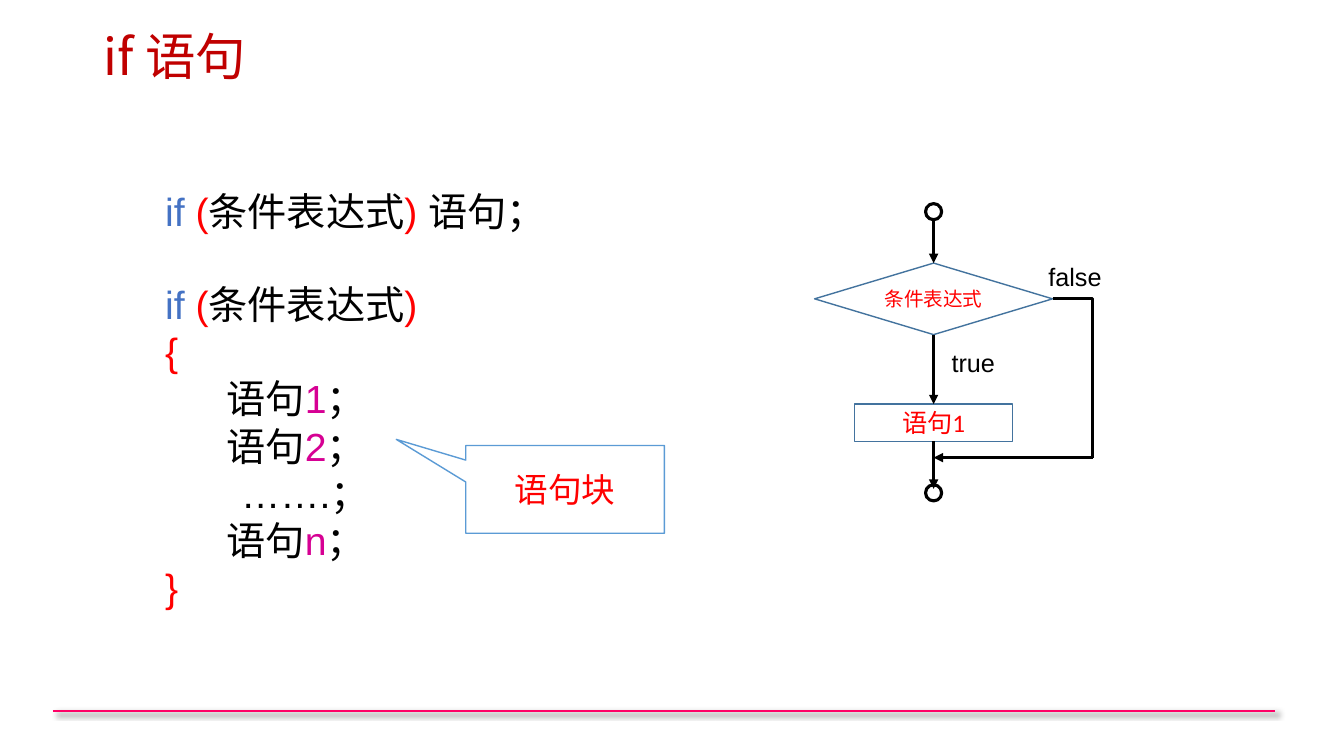
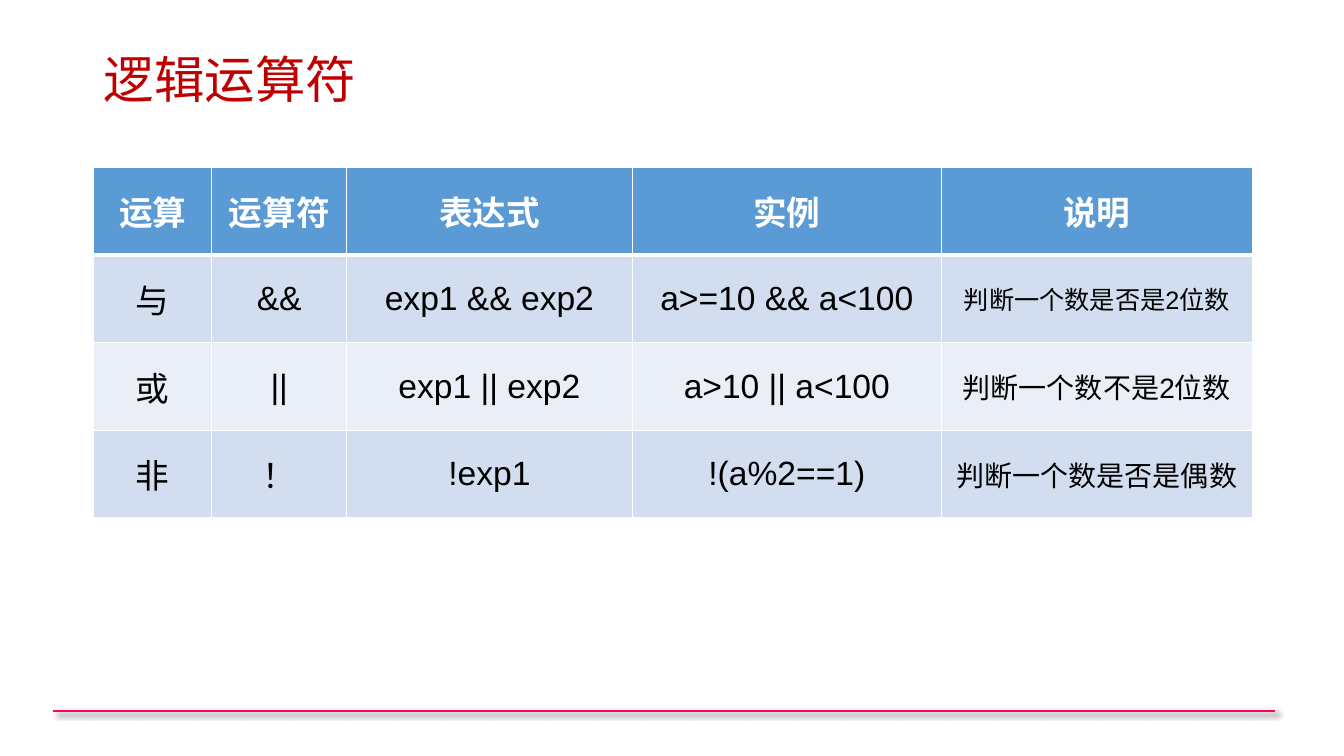
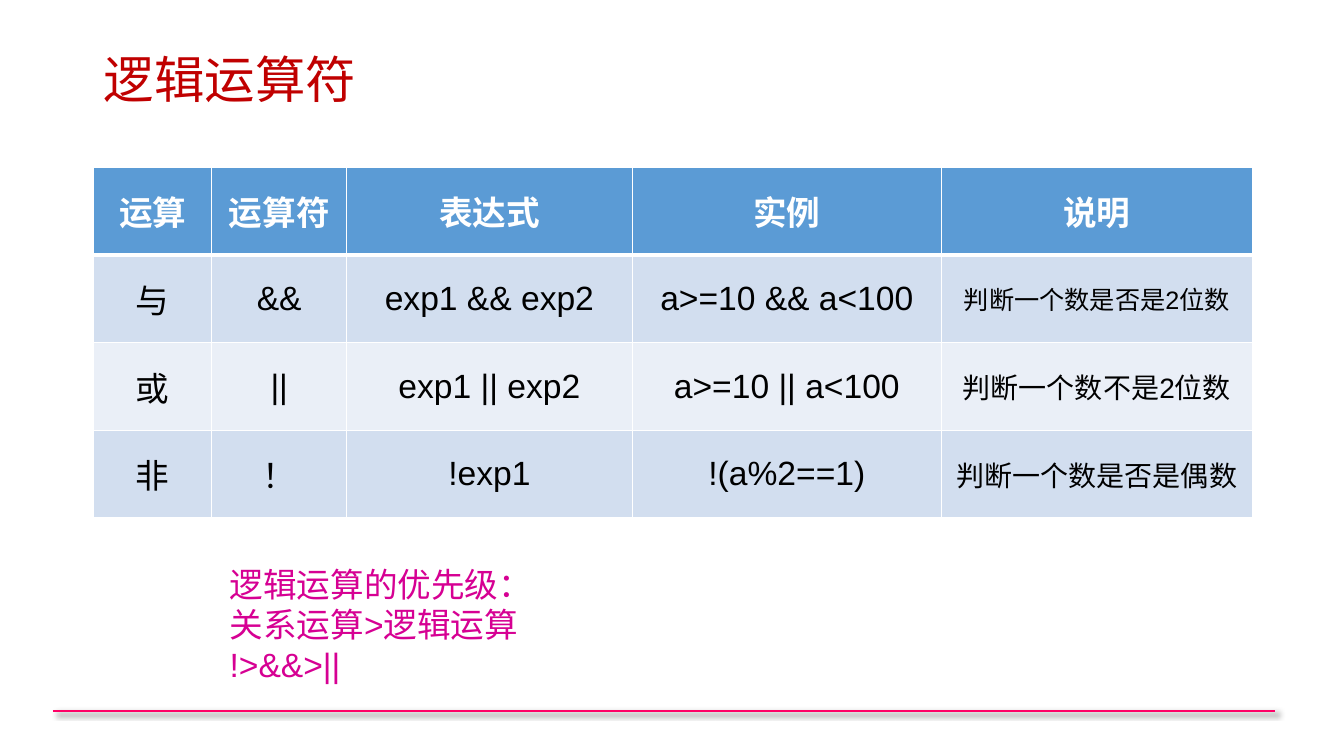
"""Build three slides on the if statement and the logical operators."""
import dataclasses

import lxml.etree
import pptx
import pptx.dml.color
import pptx.enum.shapes
import pptx.enum.text
import pptx.oxml.ns
import pptx.util

SHAPE = pptx.enum.shapes.MSO_SHAPE
CONNECTOR = pptx.enum.shapes.MSO_CONNECTOR
ALIGN = pptx.enum.text.PP_ALIGN
MIDDLE = pptx.enum.text.MSO_ANCHOR.MIDDLE
Inches, Pt = pptx.util.Inches, pptx.util.Pt
qn = pptx.oxml.ns.qn


@dataclasses.dataclass(frozen=True)
class Theme:
    latin: str = "Arial"
    diagram: str = "Calibri"
    chinese: str = "Noto Sans CJK SC"
    title: str = "C00000"
    rule: str = "FF0066"
    ink: str = "000000"
    white: str = "FFFFFF"
    red: str = "FF0000"
    keyword: str = "4472C4"
    accent: str = "D60093"
    outline: str = "43739E"
    header: str = "5B9BD5"
    bands: tuple = ("D2DEEF", "EAEFF7")
    title_size: int = 36
    code_size: int = 28
    text_size: int = 24
    label_size: int = 18
    small_size: int = 14


THEME = Theme()
WIDTH, HEIGHT = 13.33, 7.5
MARGIN, CONTENT_WIDTH, TITLE_HEIGHT = 0.93, 11.5, 0.83

CONDITION = [("if ", THEME.keyword), ("(", THEME.red), ("条件表达式", THEME.ink)]
INDENT = "       "


def statement(name):
    return [(INDENT + "语句", THEME.ink), (name, THEME.accent), ("；", THEME.ink)]


CODE = [
    CONDITION + [(") ", THEME.red), ("语句；", THEME.ink)],
    CONDITION + [(")", THEME.red)],
    [("{", THEME.red)],
    statement("1"),
    statement("2"),
    [(INDENT + "…….；", THEME.ink)],
    statement("n"),
    [("}", THEME.red)],
]
BLOCK_START = 1

COLUMNS = (1.17, 1.34, 2.83, 3.07, 3.08)
ROW_HEIGHT = 0.87
HEADINGS = ("运算", "运算符", "表达式", "实例", "说明")
NOTE_SIZES = (18, 20, 20)
PRECEDENCE = ("逻辑运算的优先级：", "关系运算>逻辑运算", "!>&&>||")


def operator_rows(or_example):
    return [
        ("与", "&&", "exp1 && exp2", "a>=10 && a<100", "判断一个数是否是2位数"),
        ("或", "||", "exp1 || exp2", or_example, "判断一个数不是2位数"),
        ("非", "！", "!exp1", "!(a%2==1)", "判断一个数是否是偶数"),
    ]


def rgb(value):
    return pptx.dml.color.RGBColor.from_string(value)


def inches(*values):
    return [Inches(value) for value in values]


def write(frame, lines, size=THEME.text_size, color=THEME.ink, font=THEME.latin,
          bold=False, align=None, wrap=True, anchor=None, line_spacing=None, gaps=None):
    """Fill a text frame; a line is a string or a list of (text, colour) spans."""
    frame.word_wrap = wrap
    if anchor is not None:
        frame.vertical_anchor = anchor
    for index, line in enumerate([lines] if isinstance(lines, str) else lines):
        para = frame.paragraphs[0] if index == 0 else frame.add_paragraph()
        para.alignment = align
        para.line_spacing = line_spacing
        if gaps and index in gaps:
            para.space_before = Pt(gaps[index])
        for text, tint in [(line, color)] if isinstance(line, str) else line:
            span = para.add_run()
            span.text = text
            span.font.size = Pt(size)
            span.font.bold = bold
            span.font.name = font
            span.font.color.rgb = rgb(tint)
            lxml.etree.SubElement(span._r.get_or_add_rPr(), qn("a:ea"), typeface=THEME.chinese)


def add_text(shapes, box, lines, **style):
    write(shapes.add_textbox(*inches(*box)).text_frame, lines, **style)


def add_box(shapes, kind, box, text="", line=THEME.outline, weight=1, fill=None, **style):
    shape = shapes.add_shape(kind, *inches(*box))
    shape.shadow.inherit = False
    shape.line.color.rgb = rgb(line)
    shape.line.width = Pt(weight)
    if fill:
        shape.fill.solid()
        shape.fill.fore_color.rgb = rgb(fill)
    else:
        shape.fill.background()
    if text:
        write(shape.text_frame, text, color=THEME.red, font=THEME.diagram,
              align=ALIGN.CENTER, anchor=MIDDLE, wrap=False, **style)
    return shape


def add_line(shapes, start, end, color=THEME.ink, weight=2.25, arrow=False, bent=False):
    """Draw a line and return it with its empty effect list."""
    kind = CONNECTOR.ELBOW if bent else CONNECTOR.STRAIGHT
    line = shapes.add_connector(kind, *inches(*start, *end))
    line.line.color.rgb = rgb(color)
    line.line.width = Pt(weight)
    properties = line.element.spPr
    if bent:
        properties.find(qn("a:prstGeom")).set("prst", "bentConnector2")
    if arrow:
        lxml.etree.SubElement(properties.find(qn("a:ln")), qn("a:tailEnd"), type="triangle")
    return line, lxml.etree.SubElement(properties, qn("a:effectLst"))


def add_footer_rule(slide, layout):
    """Put the shadowed rule on the layout that every slide uses."""
    rule, effects = add_line(slide.shapes, (0.53, 7.05), (12.65, 7.05), THEME.rule, 1.5)
    shadow = lxml.etree.SubElement(effects, qn("a:outerShdw"), blurRad=str(Pt(4)),
                                   dist=str(Pt(3)), dir=str(45 * 60000))
    tint = lxml.etree.SubElement(shadow, qn("a:srgbClr"), val=THEME.ink)
    lxml.etree.SubElement(tint, qn("a:alpha"), val="40000")
    layout.shapes.element.append(rule.element)


def add_page(deck, layout, title, top=0.4):
    page = deck.slides.add_slide(layout)
    holder = page.shapes.title
    holder.left, holder.top, holder.width, holder.height = inches(
        MARGIN, top, CONTENT_WIDTH, TITLE_HEIGHT)
    write(holder.text_frame, title, size=THEME.title_size, color=THEME.title,
          font=THEME.chinese, align=ALIGN.LEFT, anchor=MIDDLE, line_spacing=0.9)
    return page


def add_flowchart(page):
    shapes = page.shapes.add_group_shape().shapes
    axis, dot, bypass, merge = 9.26, 0.16, 10.84, 4.54
    start, end = 2.02, 4.81
    decision_width, decision_top, decision_height = 2.36, 2.61, 0.71
    process_width, process_top, process_height = 1.57, 4.01, 0.37
    decision_bottom = decision_top + decision_height
    process_bottom = process_top + process_height
    branch = decision_top + decision_height / 2

    def centred(width, top, height):
        return axis - width / 2, top, width, height

    add_box(shapes, SHAPE.FLOWCHART_DECISION,
            centred(decision_width, decision_top, decision_height),
            "条件表达式", size=THEME.small_size)
    add_box(shapes, SHAPE.FLOWCHART_PROCESS,
            centred(process_width, process_top, process_height),
            "语句1", size=THEME.label_size)
    for top, bottom in ((start + dot, decision_top), (decision_bottom, process_top),
                        (process_bottom, end + 0.04)):
        add_line(shapes, (axis, top), (axis, bottom), arrow=True)
    add_line(shapes, (axis + decision_width / 2, branch), (bypass, merge), bent=True)
    add_line(shapes, (bypass, merge), (axis, merge), arrow=True)
    for top in (start, end):
        add_box(shapes, SHAPE.OVAL, centred(dot, top, dot), line=THEME.ink, weight=2.25)
    for text, box in (("false", (10.3, 2.54, 0.73, 0.4)), ("true", (9.34, 3.4, 0.64, 0.4))):
        add_text(shapes, box, text, size=THEME.label_size, wrap=False)


def format_cell(cell, text, fill, top=1, bottom=1, **style):
    write(cell.text_frame, text, align=ALIGN.CENTER, **style)
    cell.vertical_anchor = MIDDLE
    properties = cell._tc.get_or_add_tcPr()
    for side, weight in (("L", 1), ("R", 1), ("T", top), ("B", bottom)):
        border = lxml.etree.SubElement(properties, qn("a:ln" + side), w=str(Pt(weight)))
        paint = lxml.etree.SubElement(border, qn("a:solidFill"))
        lxml.etree.SubElement(paint, qn("a:srgbClr"), val=THEME.white)
    cell.fill.solid()
    cell.fill.fore_color.rgb = rgb(fill)


def add_operator_table(page, rows):
    count = len(rows) + 1
    table = page.shapes.add_table(count, len(COLUMNS), *inches(
        MARGIN, 1.66, CONTENT_WIDTH, count * ROW_HEIGHT)).table
    for column, width in zip(table.columns, COLUMNS):
        column.width = Inches(width)
    for row in table.rows:
        row.height = Inches(ROW_HEIGHT)
    for column, heading in enumerate(HEADINGS):
        format_cell(table.cell(0, column), heading, THEME.header, bottom=3,
                    color=THEME.white, bold=True)
    for index, (row, note_size) in enumerate(zip(rows, NOTE_SIZES)):
        for column, text in enumerate(row):
            size = note_size if column == len(row) - 1 else THEME.text_size
            format_cell(table.cell(index + 1, column), text, THEME.bands[index % 2],
                        top=3 if index == 0 else 1, size=size)


def main():
    deck = pptx.Presentation()
    deck.slide_width, deck.slide_height = inches(WIDTH, HEIGHT)
    layout = deck.slide_layouts.get_by_name("Title Only")

    page = add_page(deck, layout, "if 语句", top=0.17)
    add_footer_rule(page, layout)
    add_flowchart(page)
    add_text(page.shapes, (1.54, 1.81, 3.6, 4.34), CODE, size=THEME.code_size,
             gaps={BLOCK_START: 33})
    callout = add_box(page.shapes, SHAPE.RECTANGULAR_CALLOUT, (4.62, 4.42, 1.97, 0.87),
                      "语句块", line=THEME.header, fill=THEME.white)
    callout.adjustments[0], callout.adjustments[1] = -0.85, -0.57

    add_operator_table(add_page(deck, layout, "逻辑运算符"), operator_rows("a>10 || a<100"))

    page = add_page(deck, layout, "逻辑运算符")
    add_operator_table(page, operator_rows("a>=10 || a<100"))
    add_text(page.shapes, (2.18, 5.54, 5.43, 1.31), PRECEDENCE, color=THEME.accent)

    deck.save("out.pptx")


if __name__ == "__main__":
    main()
